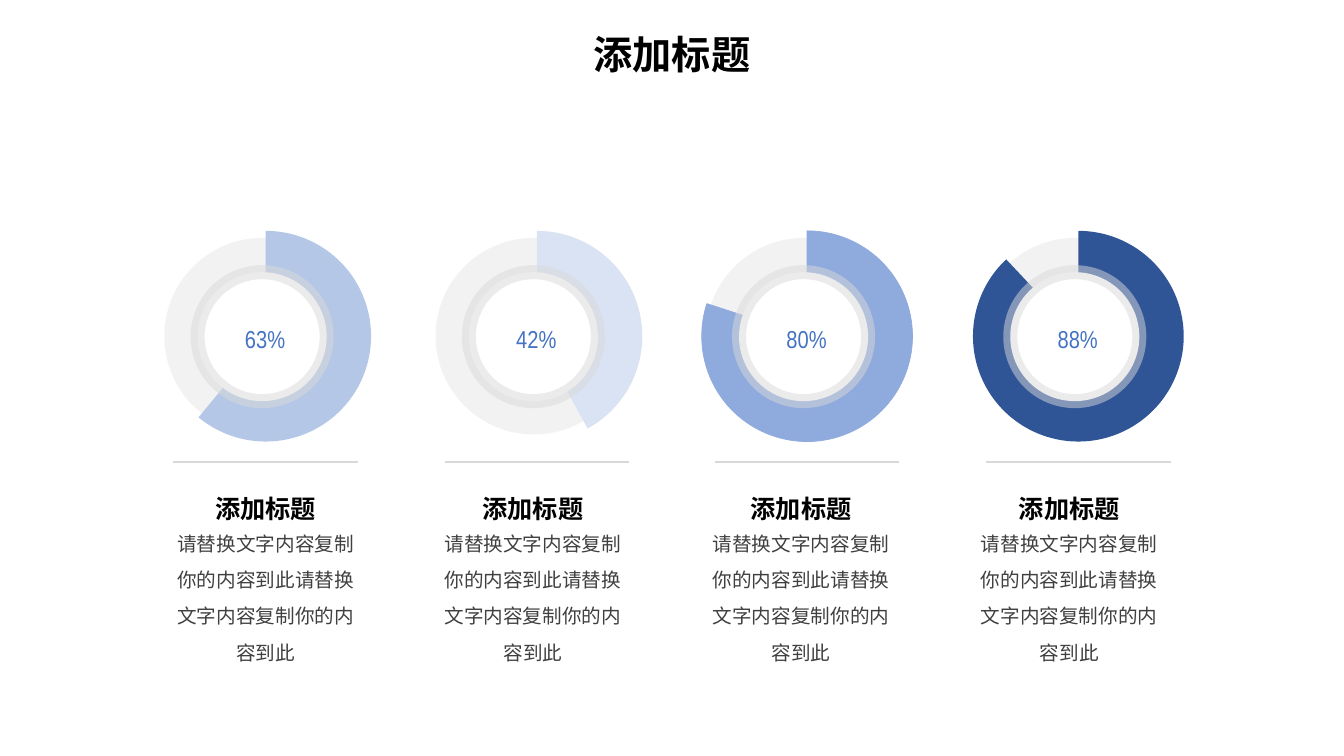
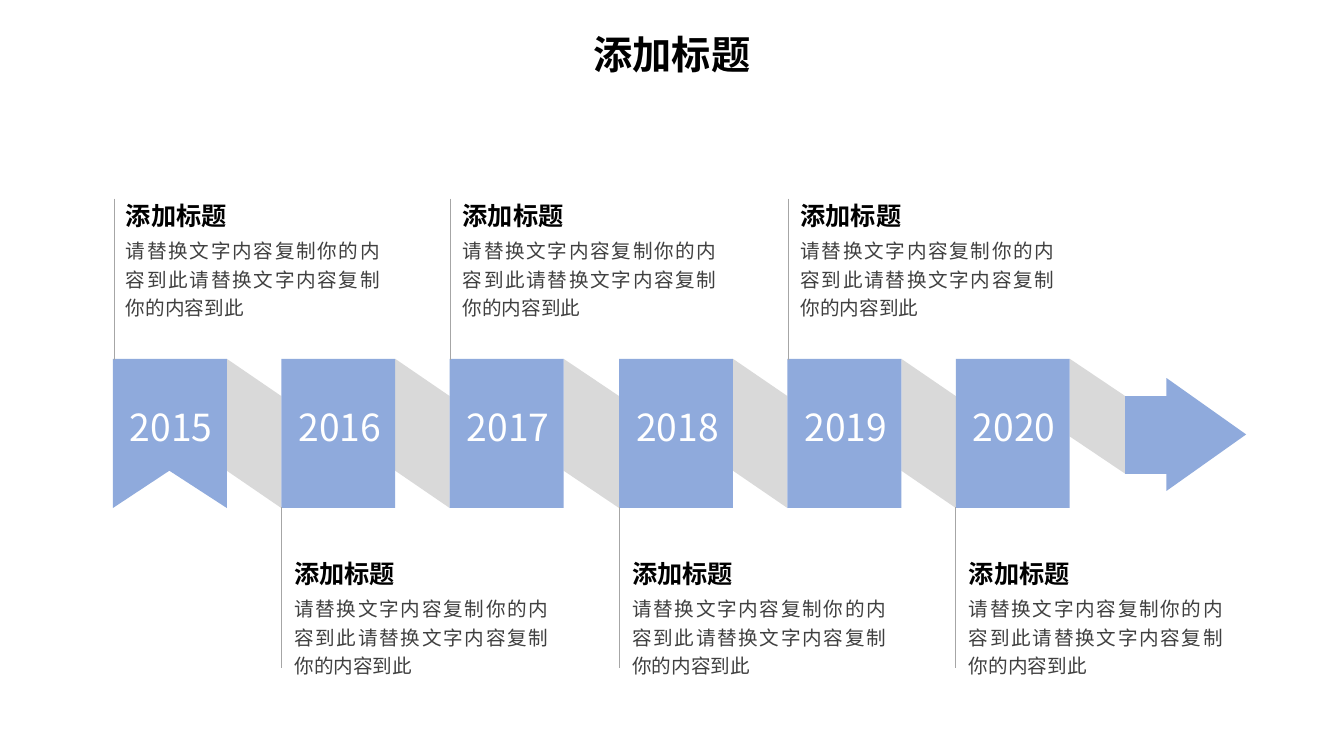
from dataclasses import dataclass

from lxml import etree
from pptx import Presentation
from pptx.dml.color import RGBColor
from pptx.enum.shapes import MSO_CONNECTOR, MSO_SHAPE
from pptx.enum.text import MSO_ANCHOR, MSO_AUTO_SIZE, PP_ALIGN
from pptx.oxml.ns import qn
from pptx.util import Pt

PX = 9144  # 100 px to the inch
SLIDE_WIDTH, SLIDE_HEIGHT = 1333, 750

STRAIGHT = MSO_CONNECTOR.STRAIGHT
ELLIPSE, PIE, RECTANGLE = MSO_SHAPE.OVAL, MSO_SHAPE.PIE, MSO_SHAPE.RECTANGLE
CENTER, JUSTIFY = PP_ALIGN.CENTER, PP_ALIGN.JUSTIFY
TOP, MIDDLE = MSO_ANCHOR.TOP, MSO_ANCHOR.MIDDLE
GROW, FIXED = MSO_AUTO_SIZE.SHAPE_TO_FIT_TEXT, MSO_AUTO_SIZE.NONE

# Shared colours, fonts and wording
BLACK, WHITE, TEXT_GRAY = "000000", "FFFFFF", "404040"
ACCENT, PERCENT_BLUE = "8FAADC", "4472C4"
TRACK, RING, FOLD = "F2F2F2", "D9D9D9", "D9D9D9"
DIVIDER, LEADER = "D8D8D8", "A6A6A6"
CJK_FONT, NARROW_FONT = "Noto Sans CJK SC", "Arial Narrow"
HEADING = "添加标题"
BODY = "请替换文字内容复制你的内容到此" * 2


@dataclass(frozen=True)
class TextStyle:
    size: float
    color: str
    align: PP_ALIGN = CENTER
    bold: bool = False
    font: str = CJK_FONT
    line_spacing: float = 1.0
    space_before: float = 0


@dataclass(frozen=True)
class Box:
    left: int
    top: int
    width: int
    height: int

    def emu(self) -> tuple[int, ...]:
        return tuple(value * PX for value in (self.left, self.top, self.width, self.height))


@dataclass(frozen=True)
class Gauge:
    label: str
    share: int
    color: str
    outlined: bool = False


TITLE_STYLE = TextStyle(28, BLACK, bold=True)
PERCENT_STYLE = TextStyle(17.5, PERCENT_BLUE, font=NARROW_FONT)
CAPTION_STYLE = TextStyle(18, BLACK, bold=True, line_spacing=1.2)
CAPTION_BODY_STYLE = TextStyle(14, TEXT_GRAY, line_spacing=1.54)
NOTE_STYLE = TextStyle(18, BLACK, JUSTIFY, True, line_spacing=1.2, space_before=3.6)
NOTE_BODY_STYLE = TextStyle(14, TEXT_GRAY, JUSTIFY, line_spacing=1.2, space_before=2.8)
YEAR_STYLE = TextStyle(26.6, WHITE)

GAUGES = (
    Gauge("63%", 61, "B4C7E7"),
    Gauge("42%", 42, "DAE3F3"),
    Gauge("80%", 80, ACCENT, outlined=True),
    Gauge("88%", 88, "2F5597"),
)
GAUGE_LEFT, GAUGE_PITCH, CAPTION_PITCH = 159, 268.67, 265.5

YEARS = ("2015", "2016", "2017", "2018", "2019", "2020")
RIBBON_LEFT, RIBBON_TOP, RIBBON_PITCH = 112, 356, 167.25
BLOCK_WIDTH, BLOCK_HEIGHT, FOLD_DROP = 113, 148, 37


# Drawing helpers
def rgb(color: str) -> RGBColor:
    return RGBColor.from_string(color)


def set_fill(shape, color: str) -> None:
    shape.shadow.inherit = False
    shape.fill.solid()
    shape.fill.fore_color.rgb = rgb(color)
    shape.line.fill.background()


def set_line(shape, color: str, width: float) -> None:
    shape.line.color.rgb = rgb(color)
    shape.line.width = Pt(width)


def add_filled(slide, kind: MSO_SHAPE, box: Box, color: str):
    shape = slide.shapes.add_shape(kind, *box.emu())
    set_fill(shape, color)
    return shape


def add_outline(slide, points: list[tuple[int, int]], color: str) -> None:
    builder = slide.shapes.build_freeform(*points[0], scale=PX)
    builder.add_line_segments(points[1:], close=True)
    set_fill(builder.convert_to_shape(), color)


def add_line(slide, start: tuple[int, int], end: tuple[int, int], color: str, width: float) -> None:
    connector = slide.shapes.add_connector(STRAIGHT, *(value * PX for value in start + end))
    set_line(connector, color, width)
    etree.SubElement(connector._element.spPr, qn("a:effectLst"))


def format_paragraph(paragraph, style: TextStyle) -> None:
    paragraph.alignment = style.align
    paragraph.line_spacing = style.line_spacing
    paragraph.space_before = Pt(style.space_before)
    for run in paragraph.runs:
        run.font.size = Pt(style.size)
        run.font.bold = style.bold
        run.font.color.rgb = rgb(style.color)
        run.font.name = style.font
        east_asian = etree.SubElement(run.font._element, qn("a:ea"))
        east_asian.set("typeface", style.font)


def set_text(text_frame, lines: list[tuple[str, TextStyle]]) -> None:
    text_frame.text = "\n".join(text for text, _ in lines)
    for paragraph, (_, style) in zip(text_frame.paragraphs, lines):
        format_paragraph(paragraph, style)


def add_text(slide, box: Box, *lines: tuple[str, TextStyle], wrap: bool = True,
             anchor: MSO_ANCHOR = TOP, auto_size: MSO_AUTO_SIZE = FIXED):
    text_frame = slide.shapes.add_textbox(*box.emu()).text_frame
    set_text(text_frame, list(lines))
    text_frame.word_wrap = wrap
    text_frame.vertical_anchor = anchor
    text_frame.auto_size = auto_size
    return text_frame


def add_titled_slide(presentation):
    slide = presentation.slides.add_slide(presentation.slide_layouts[5])
    title = slide.shapes.title
    title.left, title.top, title.width, title.height = Box(0, 25, 1333, 57).emu()
    set_text(title.text_frame, [(HEADING, TITLE_STYLE)])
    title.text_frame.vertical_anchor = MIDDLE
    title.text_frame.auto_size = FIXED
    return slide


# Slide 1: ring gauges with captions
def add_gauge(slide, gauge: Gauge, left: int) -> None:
    add_filled(slide, ELLIPSE, Box(left + 4, 236, 195, 195), TRACK)

    # Pie angles run clockwise from three o'clock, 0.6 units to a degree
    pie = add_filled(slide, PIE, Box(left, 229, 209, 209), gauge.color)
    pie.adjustments[0] = 270 * 0.6
    pie.adjustments[1] = (gauge.share * 3.6 - 90) * 0.6
    if gauge.outlined:
        set_line(pie, gauge.color, 0.5)

    hole = add_filled(slide, ELLIPSE, Box(left + 37, 270, 128, 128), WHITE)
    set_line(hole, RING, 10)
    line_color = hole.line._ln.find(".//" + qn("a:srgbClr"))
    etree.SubElement(line_color, qn("a:alpha")).set("val", "50000")

    add_text(slide, Box(left + 81, 317, 46, 35), (gauge.label, PERCENT_STYLE), wrap=False)
    add_line(slide, (left + 196, 458), (left + 13, 458), DIVIDER, 1.25)


def build_gauges(presentation) -> None:
    slide = add_titled_slide(presentation)
    for index, gauge in enumerate(GAUGES):
        add_gauge(slide, gauge, round(GAUGE_LEFT + index * GAUGE_PITCH))
        left = round(GAUGE_LEFT + index * CAPTION_PITCH)
        add_text(slide, Box(left + 13, 478, 183, 45), (HEADING, CAPTION_STYLE), auto_size=GROW)
        add_text(slide, Box(left, 510, 209, 155), (BODY, CAPTION_BODY_STYLE), auto_size=GROW)


# Slide 2: folded ribbon timeline
def add_fold(slide, left: int, right: int, height: int) -> None:
    add_outline(slide, [
        (left, RIBBON_TOP),
        (right, RIBBON_TOP + FOLD_DROP),
        (right, RIBBON_TOP + FOLD_DROP + height),
        (left, RIBBON_TOP + height),
    ], FOLD)


def add_note(slide, left: int, below: bool) -> None:
    top = 541 if below else 186
    text_frame = add_text(slide, Box(left, top, 280, 136),
                          (HEADING, NOTE_STYLE), (BODY, NOTE_BODY_STYLE))
    text_frame.margin_left, text_frame.margin_right = 13 * PX, 15 * PX
    text_frame.margin_top = text_frame.margin_bottom = 7 * PX
    line_left, line_top = (left, 503) if below else (left + 1, 197)
    add_line(slide, (line_left, line_top), (line_left, line_top + 160), LEADER, 0.5)


def build_timeline(presentation) -> None:
    slide = add_titled_slide(presentation)
    *lefts, arrow_left = [round(RIBBON_LEFT + index * RIBBON_PITCH)
                          for index in range(len(YEARS) + 1)]
    bottom = RIBBON_TOP + BLOCK_HEIGHT

    # Folds between the blocks; the last one meets the narrower arrow
    for left, right in zip(lefts, lefts[1:] + [arrow_left]):
        add_fold(slide, left + BLOCK_WIDTH, right, 77 if right == arrow_left else 111)

    # Flag, blocks and arrow
    flag_left, *block_lefts = lefts
    flag_right = flag_left + BLOCK_WIDTH
    add_outline(slide, [(flag_left, RIBBON_TOP), (flag_right, RIBBON_TOP), (flag_right, bottom),
                        (168, bottom - FOLD_DROP), (flag_left, bottom)], ACCENT)
    for left in block_lefts:
        add_filled(slide, RECTANGLE, Box(left, RIBBON_TOP, BLOCK_WIDTH, BLOCK_HEIGHT), ACCENT)
    add_outline(slide, [(arrow_left, 393), (1157, 393), (1157, 375), (1236, 431),
                        (1157, 487), (1157, 470), (arrow_left, 470)], ACCENT)

    # Years, with notes above and below in turn
    for index, (year, left) in enumerate(zip(YEARS, lefts)):
        add_note(slide, left, below=index % 2 == 1)
        add_text(slide, Box(left - 12, 374, 140, 99), (year, YEAR_STYLE), anchor=MIDDLE)


def main() -> None:
    presentation = Presentation()
    presentation.slide_width = SLIDE_WIDTH * PX
    presentation.slide_height = SLIDE_HEIGHT * PX
    build_gauges(presentation)
    build_timeline(presentation)
    presentation.save("out.pptx")


if __name__ == "__main__":
    main()
